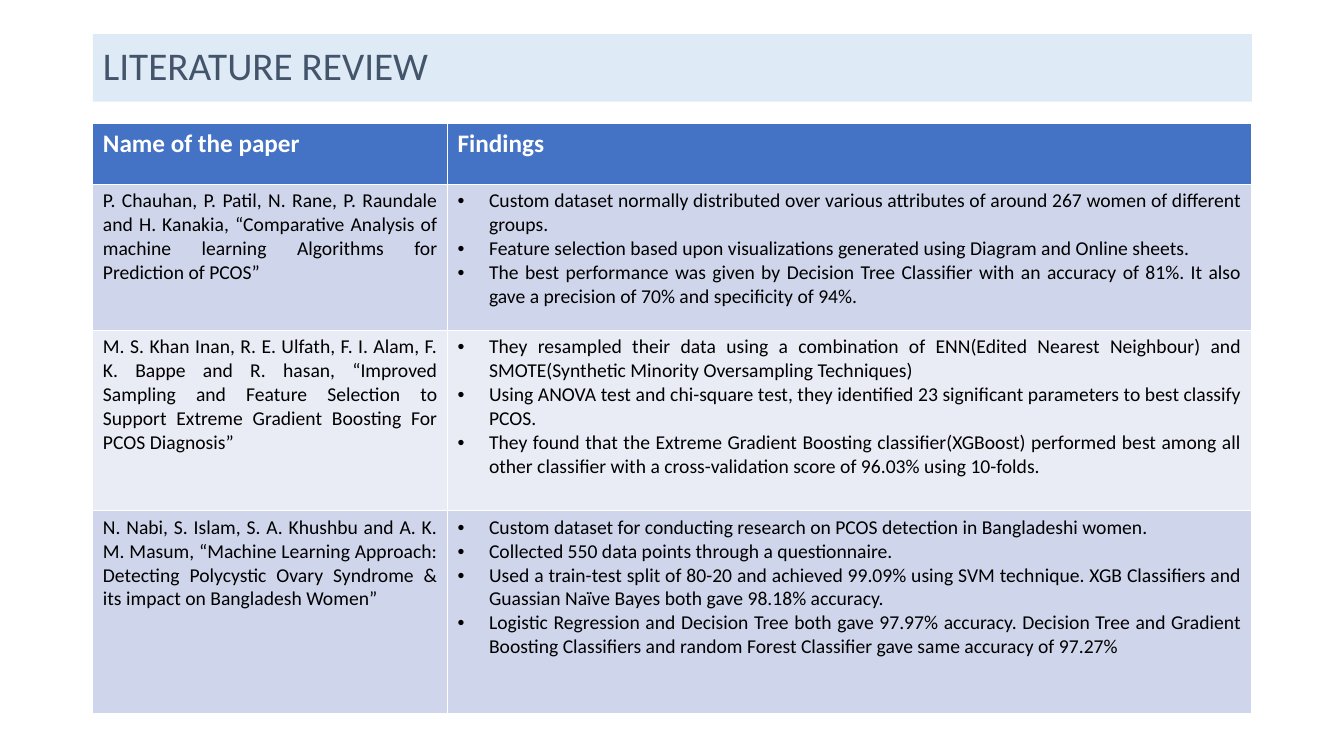
"""Build the literature review slide: a title band above a table of papers and findings."""
from lxml import etree
from pptx import Presentation
from pptx.dml.color import RGBColor
from pptx.enum.text import MSO_ANCHOR, MSO_AUTO_SIZE, PP_ALIGN
from pptx.oxml.ns import qn
from pptx.util import Cm, Pt

LEFT, JUSTIFY = PP_ALIGN.LEFT, PP_ALIGN.JUSTIFY
MIDDLE, NO_FIT = MSO_ANCHOR.MIDDLE, MSO_AUTO_SIZE.NONE

TITLE = "LITERATURE REVIEW"
HEADER = ("Name of the paper", "Findings")
PAPERS = [
    ("P. Chauhan, P. Patil, N. Rane, P. Raundale and H. Kanakia, “Comparative Analysis of "
     "machine learning Algorithms for Prediction of PCOS”",
     ["Custom dataset normally distributed over various attributes of around 267 women of "
      "different groups.",
      "Feature selection based upon visualizations generated using Diagram and Online sheets.",
      "The best performance was given by Decision Tree Classifier with an accuracy of 81%. "
      "It also gave a precision of 70% and specificity of 94%."]),
    ("M. S. Khan Inan, R. E. Ulfath, F. I. Alam, F. K. Bappe and R. hasan, “Improved Sampling "
     "and Feature Selection to Support Extreme Gradient Boosting For PCOS Diagnosis”",
     ["They resampled their data using a combination of ENN(Edited Nearest Neighbour) and "
      "SMOTE(Synthetic Minority Oversampling Techniques)",
      "Using ANOVA test and chi-square test, they identified 23 significant parameters to "
      "best classify PCOS.",
      "They found that the Extreme Gradient Boosting classifier(XGBoost) performed best among "
      "all other classifier with a cross-validation score of 96.03% using 10-folds."]),
    ("N. Nabi, S. Islam, S. A. Khushbu and A. K. M. Masum, “Machine Learning Approach: "
     "Detecting Polycystic Ovary Syndrome & its impact on Bangladesh Women”",
     ["Custom dataset for conducting research on PCOS detection in Bangladeshi women.",
      "Collected 550 data points through a questionnaire.",
      "Used a train-test split of 80-20 and achieved 99.09% using SVM technique. XGB "
      "Classifiers and Guassian Naïve Bayes both gave 98.18% accuracy.",
      "Logistic Regression and Decision Tree both gave 97.97% accuracy. Decision Tree and "
      "Gradient Boosting Classifiers and random Forest Classifier gave same accuracy of "
      "97.27%"]),
]

X, TITLE_Y, TITLE_H, TABLE_Y = 2.34, 0.86, 1.7, 3.12
COLS = (8.94, 20.27)
ROWS = (1.52, 3.68, 4.55, 5.11)
INDENT = 0.79
HEADER_FILL, BANDS = "4472C4", ("CFD5EA", "E9EBF5")
TITLE_FONT = {"name": "Calibri", "size": Pt(28), "bold": False}
HEADER_FONT = {"name": "Calibri", "size": Pt(18), "bold": True}
BODY_FONT = {"name": "Calibri", "size": Pt(14), "bold": False}


def paint(fmt, color):
    """Give a fill or font a solid colour."""
    fill = fmt if hasattr(fmt, "solid") else fmt.fill
    fill.solid()
    fill.fore_color.rgb = RGBColor.from_string(color)


def write(p, text, font, color, align):
    """Write one formatted run into a paragraph."""
    p.alignment = align
    r = p.add_run()
    r.text = text
    for name, value in font.items():
        setattr(r.font, name, value)
    paint(r.font, color)


def add_bullet(p):
    """Put a hanging round bullet on a paragraph."""
    pPr = p._p.get_or_add_pPr()
    pPr.set("marL", str(Cm(INDENT)))
    pPr.set("indent", str(-Cm(INDENT)))
    etree.SubElement(pPr, qn("a:buFont")).set("typeface", "Arial")
    etree.SubElement(pPr, qn("a:buChar")).set("char", "•")


def fill_cell(cell, lines, fill, font, color, bullets=False):
    """Fill a table cell with one paragraph per line."""
    paint(cell.fill, fill)
    tf = cell.text_frame
    for i, line in enumerate(lines):
        p = tf.add_paragraph() if i else tf.paragraphs[0]
        write(p, line, font, color, JUSTIFY)
        if bullets:
            add_bullet(p)


def add_title(slide):
    """Format the title placeholder as a pale band."""
    sp = slide.shapes.title
    sp.left, sp.top, sp.width, sp.height = map(Cm, (X, TITLE_Y, sum(COLS), TITLE_H))
    paint(sp.fill, "DEEBF7")
    tf = sp.text_frame
    tf.auto_size, tf.vertical_anchor, tf.word_wrap = NO_FIT, MIDDLE, True
    p = tf.paragraphs[0]
    p.line_spacing = 0.9
    write(p, TITLE, TITLE_FONT, "44546A", LEFT)


def add_papers(slide):
    """Add the table of papers and their findings."""
    box = map(Cm, (X, TABLE_Y, sum(COLS), sum(ROWS)))
    table = slide.shapes.add_table(len(ROWS), len(COLS), *box).table
    for col, width in zip(table.columns, COLS):
        col.width = Cm(width)
    for row, height in zip(table.rows, ROWS):
        row.height = Cm(height)
    for c, text in enumerate(HEADER):
        fill_cell(table.cell(0, c), [text], HEADER_FILL, HEADER_FONT, "FFFFFF")
    for i, (paper, findings) in enumerate(PAPERS):
        band = BANDS[i % 2]
        fill_cell(table.cell(i + 1, 0), [paper], band, BODY_FONT, "000000")
        fill_cell(table.cell(i + 1, 1), findings, band, BODY_FONT, "000000", bullets=True)


def main():
    """Create the slide and save it."""
    prs = Presentation()
    prs.slide_width, prs.slide_height = Cm(33.87), Cm(19.05)
    slide = prs.slides.add_slide(prs.slide_layouts[5])
    add_title(slide)
    add_papers(slide)
    prs.save("out.pptx")


if __name__ == "__main__":
    main()
